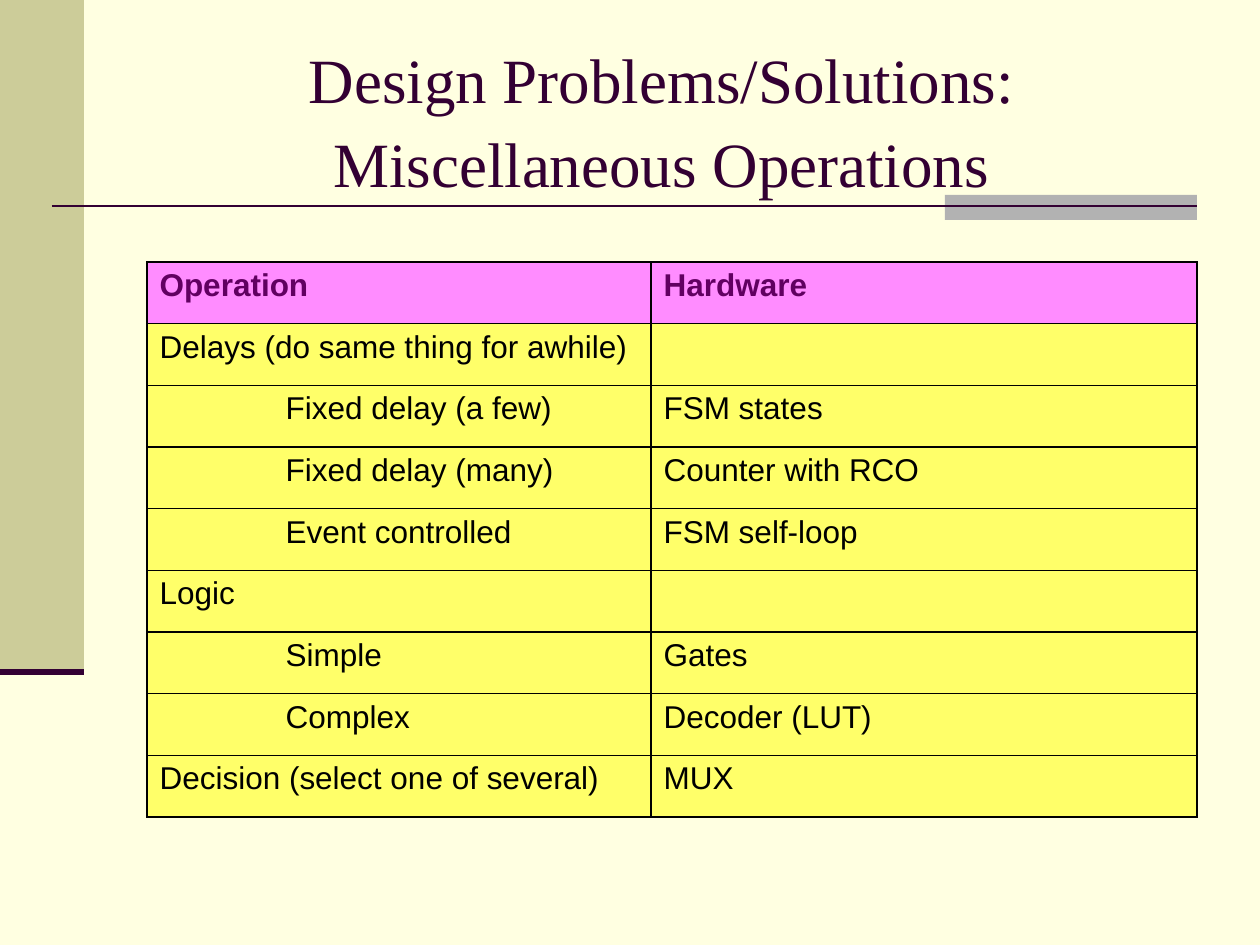
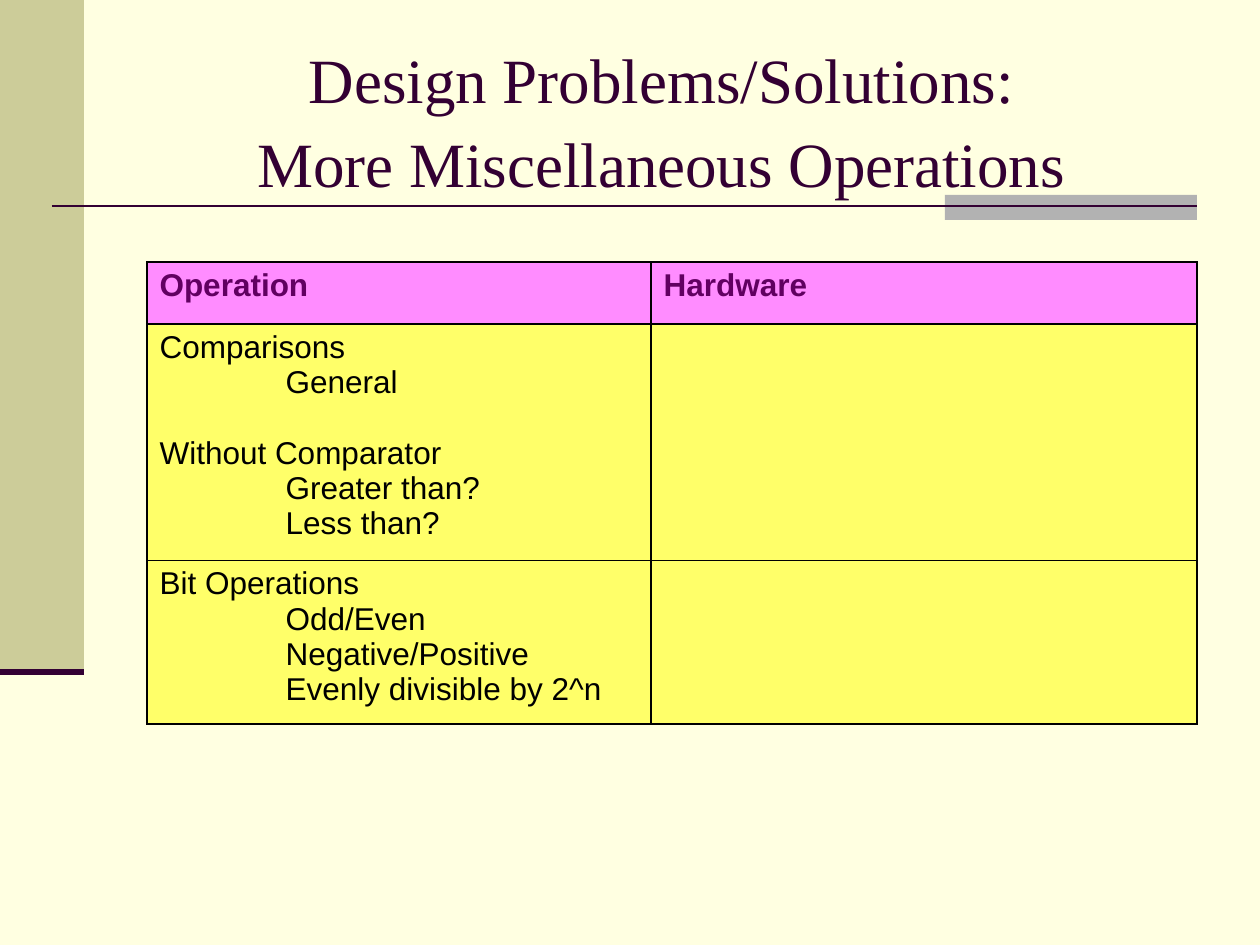
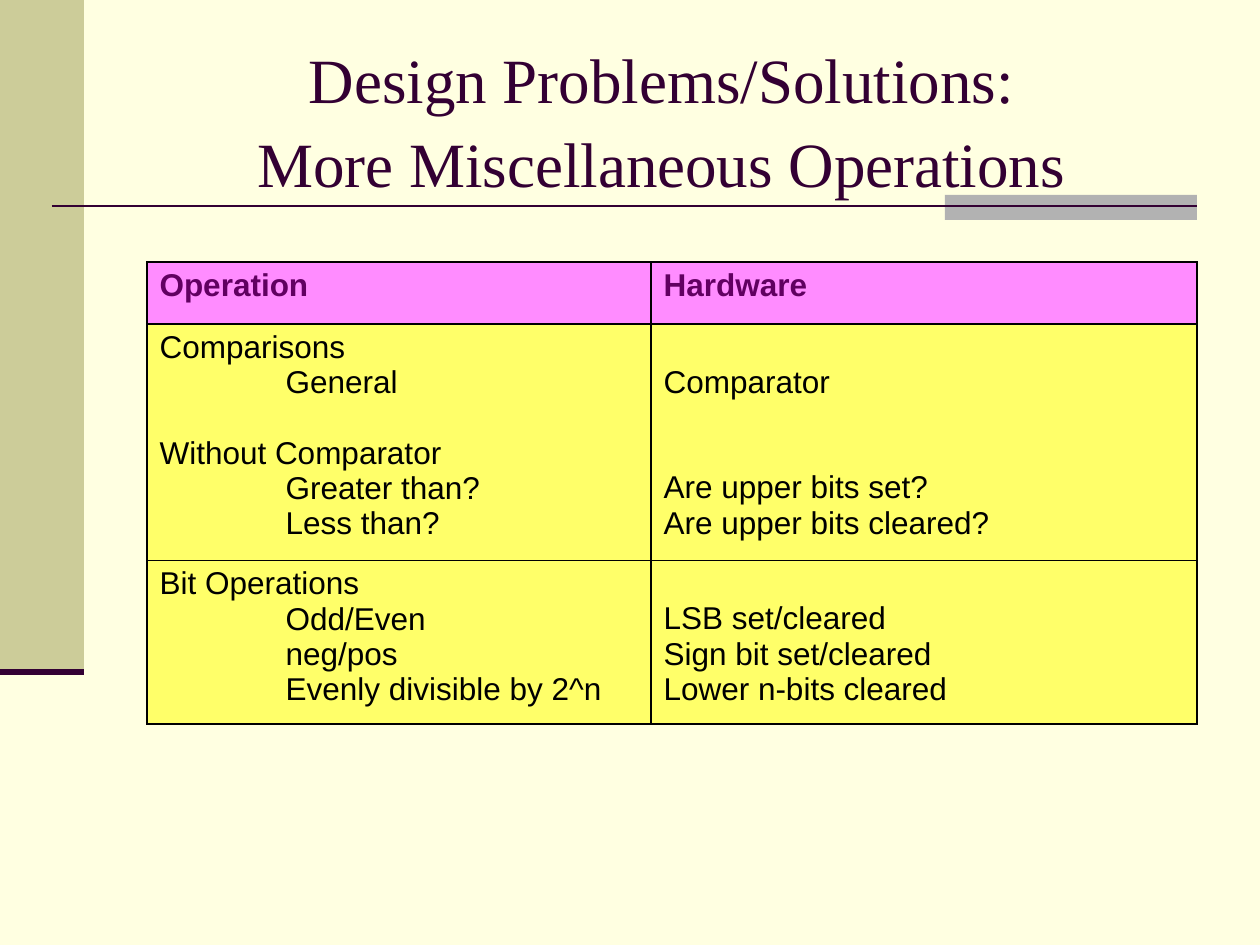
from lxml import etree
from pptx import Presentation
from pptx.dml.color import RGBColor
from pptx.enum.shapes import MSO_CONNECTOR, MSO_SHAPE
from pptx.enum.text import MSO_ANCHOR, PP_ALIGN
from pptx.oxml import parse_xml
from pptx.oxml.ns import nsdecls, qn
from pptx.util import Pt

EMU_PER_PX = 914400 / 126
COLORS = {
    "background": "FFFFE1", "side": "CCCC99", "accent": "B2B2B2", "rule": "330033",
    "header_fill": "FF8CFF", "header_text": "610061", "body_fill": "FFFF69", "body_text": "000000",
}
INDENT = 126
LINE_HEIGHT = 35
CELL_MARGIN = 6


def px(length):
    return round(length * EMU_PER_PX)


def add_run(paragraph, text, font_name, size, color, bold=False):
    run = paragraph.add_run()
    run.text = text
    run.font.name = font_name
    run.font.size = Pt(size)
    run.font.bold = bold
    run.font.color.rgb = RGBColor.from_string(COLORS[color])


# Shared decoration: left, top, width, height, colour
bands = [(0, 0, 84, 672, "side"), (945, 195, 252, 25, "accent")]
# Start x, end x, y, weight in points
rules = [(52, 1197, 206, 1.5), (0, 84, 672, 3.5)]

# Each cell is a list of lines: text, indent level, empty lines above
header = [[("Operation", 0, 0)], [("Hardware", 0, 0)]]
comparisons = [
    ("Comparisons", 0, 0), ("General", 1, 0),
    ("Without Comparator", 0, 1), ("Greater than?", 1, 0), ("Less than?", 1, 0),
]
bit_operations, bit_operations_short = [
    [("Bit Operations", 0, 0), ("Odd/Even", 1, 0), (sign, 1, 0), ("Evenly divisible by 2^n", 1, 0)]
    for sign in ("Negative/Positive", "neg/pos")
]

# Second title line, table height, row heights (None for equal rows), rows
slides = [
    ("Miscellaneous Operations", 555, None, [
        header,
        [[("Delays (do same thing for awhile)", 0, 0)], []],
        [[("Fixed delay (a few)", 1, 0)], [("FSM states", 0, 0)]],
        [[("Fixed delay (many)", 1, 0)], [("Counter with RCO", 0, 0)]],
        [[("Event controlled", 1, 0)], [("FSM self-loop", 0, 0)]],
        [[("Logic", 0, 0)], []],
        [[("Simple", 1, 0)], [("Gates", 0, 0)]],
        [[("Complex", 1, 0)], [("Decoder (LUT)", 0, 0)]],
        [[("Decision (select one of several)", 0, 0)], [("MUX", 0, 0)]],
    ]),
    ("More Miscellaneous Operations", 440, [62, 224, 154], [
        header, [comparisons, []], [bit_operations, []],
    ]),
    ("More Miscellaneous Operations", 440, [62, 224, 154], [
        header,
        [comparisons, [
            ("Comparator", 0, 1), ("Are upper bits set?", 0, 2), ("Are upper bits cleared?", 0, 0),
        ]],
        [bit_operations_short, [
            ("LSB set/cleared", 0, 1), ("Sign bit set/cleared", 0, 0), ("Lower n-bits cleared", 0, 0),
        ]],
    ]),
]

presentation = Presentation()
presentation.slide_width = px(1260)
presentation.slide_height = px(945)

for subtitle, table_height, row_heights, rows in slides:
    slide = presentation.slides.add_slide(presentation.slide_layouts[6])
    slide.background.fill.solid()
    slide.background.fill.fore_color.rgb = RGBColor.from_string(COLORS["background"])

    # Bands and rules
    for left, top, width, height, color in bands:
        band = slide.shapes.add_shape(MSO_SHAPE.RECTANGLE, px(left), px(top), px(width), px(height))
        band.shadow.inherit = False
        band.fill.solid()
        band.fill.fore_color.rgb = RGBColor.from_string(COLORS[color])
        band.line.fill.background()
    for start, end, y, weight in rules:
        rule = slide.shapes.add_connector(MSO_CONNECTOR.STRAIGHT, px(start), px(y), px(end), px(y))
        rule.line.color.rgb = RGBColor.from_string(COLORS["rule"])
        rule.line.width = Pt(weight)
        etree.SubElement(rule._element.spPr, qn("a:effectLst"))

    # Title
    title = slide.shapes.add_textbox(px(126), px(38), px(1071), px(157)).text_frame
    title.word_wrap = True
    title.vertical_anchor = MSO_ANCHOR.MIDDLE
    paragraph = title.paragraphs[0]
    paragraph.alignment = PP_ALIGN.CENTER
    paragraph.line_spacing = 1.1
    add_run(paragraph, "Design Problems/Solutions:", "Times New Roman", 36, "rule")
    paragraph.add_line_break()
    add_run(paragraph, subtitle, "Times New Roman", 36, "rule")

    # Operations table
    table = slide.shapes.add_table(len(rows), 2, px(147), px(262), px(1050), px(table_height)).table
    table.first_row = False
    table.horz_banding = False
    for column, width in zip(table.columns, (504, 546)):
        column.width = px(width)
    for row, height in zip(table.rows, row_heights or []):
        row.height = px(height)

    for row_index, row in enumerate(rows):
        kind = "body" if row_index else "header"
        for column_index, lines in enumerate(row):
            cell = table.cell(row_index, column_index)
            cell_properties = cell._tc.get_or_add_tcPr()
            for side in ("lnL", "lnR", "lnT", "lnB"):
                cell_properties.append(parse_xml(
                    f'<a:{side} {nsdecls("a")} w="{Pt(1)}"><a:solidFill>'
                    f'<a:srgbClr val="{COLORS["body_text"]}"/></a:solidFill></a:{side}>'))
            cell.fill.solid()
            cell.fill.fore_color.rgb = RGBColor.from_string(COLORS[kind + "_fill"])

            for line_index, (text, level, gap) in enumerate(lines):
                if line_index:
                    paragraph = cell.text_frame.add_paragraph()
                    paragraph.space_before = px(gap * LINE_HEIGHT)
                else:
                    paragraph = cell.text_frame.paragraphs[0]
                    cell.margin_top = px(CELL_MARGIN + gap * LINE_HEIGHT)
                paragraph._p.get_or_add_pPr().set("marL", str(px(level * INDENT)))
                add_run(paragraph, text, "Arial", 18, kind + "_text", kind == "header")

presentation.save("out.pptx")
